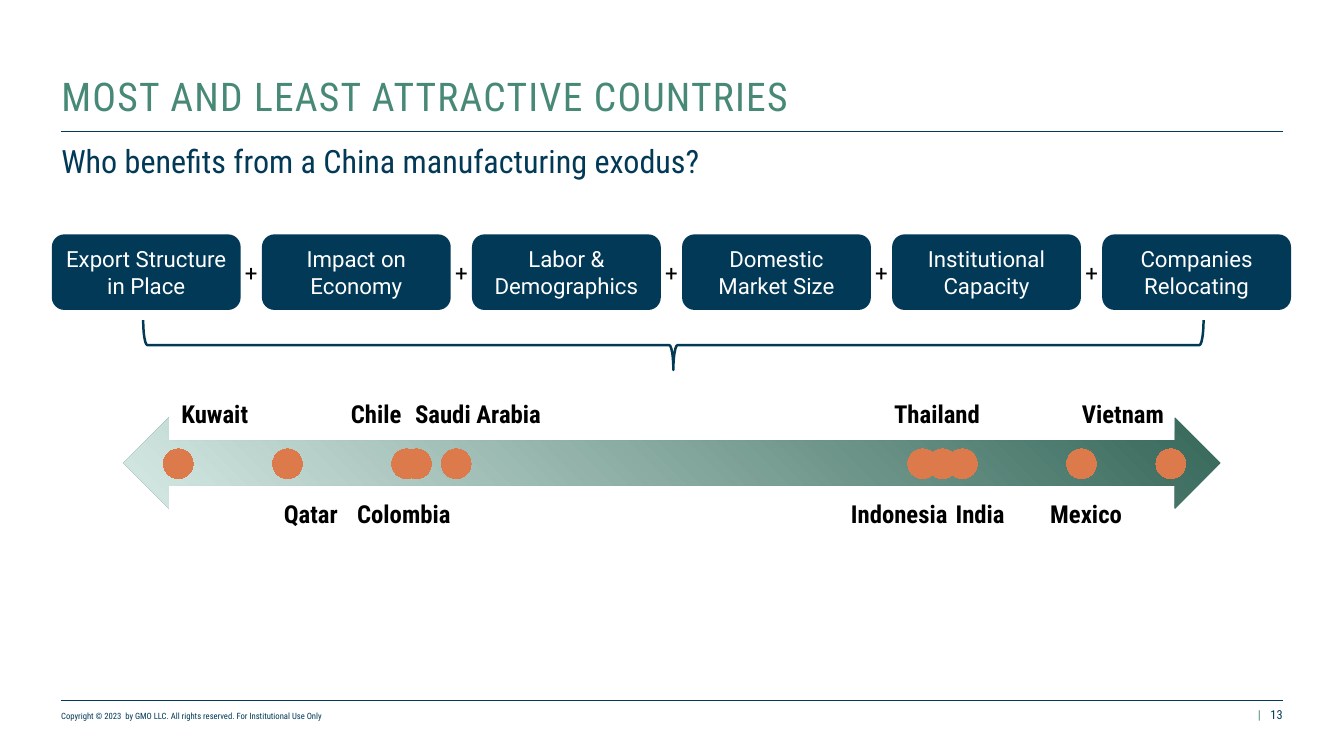
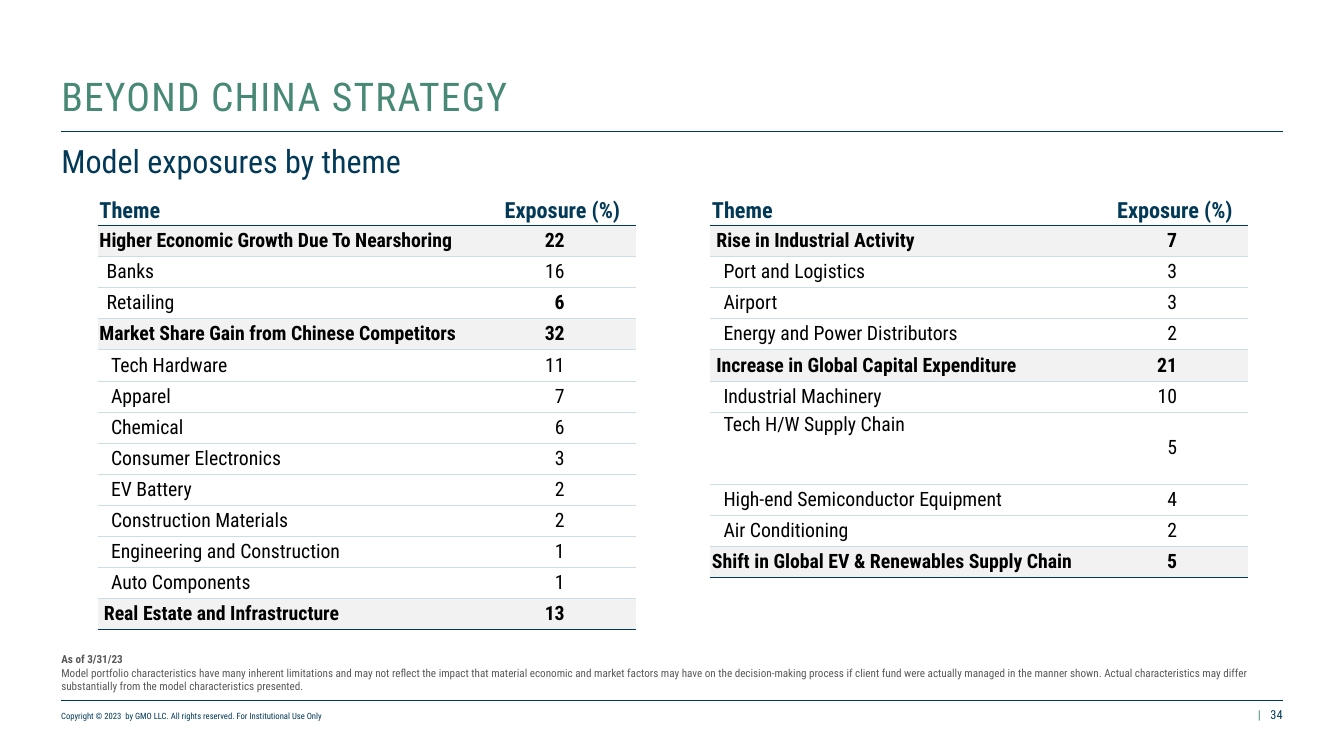
"""Build two slides on the countries and themes that gain from manufacturing leaving China."""
from dataclasses import dataclass

from lxml.etree import SubElement
from pptx import Presentation
from pptx.chart.data import XyChartData
from pptx.dml.color import RGBColor
from pptx.enum.chart import XL_CHART_TYPE as Chart, XL_MARKER_STYLE as Marker
from pptx.enum.shapes import MSO_CONNECTOR as Connector, MSO_SHAPE as Shape
from pptx.enum.text import MSO_ANCHOR as Anchor, PP_ALIGN as Align
from pptx.oxml import parse_xml
from pptx.oxml.ns import nsdecls, qn
from pptx.util import Inches, Pt


@dataclass(frozen=True)
class Theme:
    navy: str = "013957"
    green: str = "478976"
    mint: str = "D7EAE5"
    forest: str = "356759"
    orange: str = "DC7A4B"
    sky: str = "C8DEE8"
    band: str = "F2F2F2"
    grey: str = "595959"
    black: str = "000000"
    white: str = "FFFFFF"
    plain: str = "Roboto"
    narrow: str = "Roboto Condensed"
    title: int = 32
    subtitle: int = 26
    country: int = 20
    heading: int = 18
    row: int = 16
    number: int = 10
    note: int = 9
    legal: int = 7


theme = Theme()
deck = Presentation()
deck.slide_width, deck.slide_height = Inches(15.11), Inches(8.5)


def spot(*shares):
    """Turn percentages of the slide, alternately across and down, into lengths."""
    sides = (deck.slide_width, deck.slide_height)
    return [round(share * sides[place % 2] / 100) for place, share in enumerate(shares)]


def write(frame, text, size, color, font=theme.narrow, bold=False,
          align=Align.LEFT, anchor=None, margin=0):
    """Add one paragraph; an anchor also sets the frame's wrapping and margins."""
    if anchor is not None:
        frame.word_wrap, frame.vertical_anchor = True, anchor
        frame.margin_left = frame.margin_right = margin
        frame.margin_top = frame.margin_bottom = 0
    para = frame.paragraphs[-1]
    if para.runs:
        para = frame.add_paragraph()
    para.alignment = align
    for index, line in enumerate(text.split("\n")):
        if index:
            para.add_line_break()
        span = para.add_run()
        span.text = line
        span.font.size, span.font.name, span.font.bold = Pt(size), font, bold
        span.font.color.rgb = RGBColor.from_string(color)
    return para


MARGIN = 4.56
CONTENT = 100 - 2 * MARGIN
pages = []
for title, subtitle, number in (
    ("MOST AND LEAST ATTRACTIVE COUNTRIES", "Who benefits from a China manufacturing exodus?", "13"),
    ("BEYOND CHINA STRATEGY", "Model exposures by theme", "34"),
):
    page = deck.slides.add_slide(deck.slide_layouts[6])
    pages.append(page)
    for height, weight in ((92.68, 0.5), (17.41, 1)):
        rule = page.shapes.add_connector(
            Connector.STRAIGHT, *spot(MARGIN, height, 100 - MARGIN, height))
        rule.line.color.rgb = RGBColor.from_string(theme.navy)
        rule.line.width = Pt(weight)
        SubElement(rule._element.spPr, qn("a:effectLst"))
    for place, text, size, color, align, anchor in (
        ((MARGIN, 93.6, 47, 1.76),
         "Copyright © 2023  by GMO LLC. All rights reserved. For Institutional Use Only",
         theme.legal, theme.navy, Align.LEFT, Anchor.BOTTOM),
        ((93.35, 93.53, 0.73, 2), "|", theme.number, theme.green, Align.CENTER, Anchor.BOTTOM),
        ((72.93, 93.53, 22.5, 2), number, theme.number, theme.navy, Align.RIGHT, Anchor.BOTTOM),
        ((MARGIN, 18.71, CONTENT, 3.18), subtitle,
         theme.subtitle, theme.navy, Align.LEFT, Anchor.TOP),
    ):
        box = page.shapes.add_textbox(*spot(*place))
        write(box.text_frame, text, size, color, align=align, anchor=anchor)
    box = page.shapes.add_textbox(*spot(MARGIN, 5.88, CONTENT, 10))
    para = write(box.text_frame, title, theme.title, theme.green, anchor=Anchor.BOTTOM)
    para.line_spacing = 0.9
    para.runs[0].font._element.set("spc", "100")

countries, exposures = pages

FACTOR_LEFT, FACTOR_TOP, FACTOR_WIDTH, FACTOR_HEIGHT = 3.86, 31, 14.05, 10
FACTOR_STEP = 15.63
PLUS_WIDTH = 2.32
factors = ("Export Structure in Place", "Impact on Economy", "Labor & Demographics",
           "Domestic\nMarket Size", "Institutional Capacity", "Companies Relocating")
for index, factor in enumerate(factors):
    left = FACTOR_LEFT + index * FACTOR_STEP
    card = countries.shapes.add_shape(
        Shape.ROUNDED_RECTANGLE, *spot(left, FACTOR_TOP, FACTOR_WIDTH, FACTOR_HEIGHT))
    card.shadow.inherit = False
    card.fill.solid()
    card.fill.fore_color.rgb = RGBColor.from_string(theme.navy)
    card.line.fill.background()
    write(card.text_frame, factor, theme.heading, theme.white, theme.plain,
          align=Align.CENTER, anchor=Anchor.MIDDLE, margin=Inches(0.1))
    if index:
        middle = left - (FACTOR_STEP - FACTOR_WIDTH) / 2
        plus = countries.shapes.add_textbox(
            *spot(middle - PLUS_WIDTH / 2, FACTOR_TOP, PLUS_WIDTH, FACTOR_HEIGHT))
        write(plus.text_frame, "+", theme.heading, theme.black, theme.plain,
              align=Align.CENTER, anchor=Anchor.MIDDLE)

brace = countries.shapes.add_shape(Shape.LEFT_BRACE, *spot(48.25, -24.47, 3.71, 140.24))
brace.rotation = 270
brace.shadow.inherit = False
brace.fill.background()
brace.line.color.rgb = RGBColor.from_string(theme.navy)
brace.line.width = Pt(2)

arrow = countries.shapes.add_shape(Shape.LEFT_RIGHT_ARROW, *spot(9.2, 55.24, 81.6, 12))
arrow.shadow.inherit = False
arrow.line.fill.background()
arrow.fill.gradient()
for stop, color in zip(arrow.fill.gradient_stops, (theme.mint, theme.forest)):
    stop.color.rgb = RGBColor.from_string(color)
gradient = arrow._element.spPr.find(qn("a:gradFill"))
gradient.replace(gradient.find(qn("a:lin")), parse_xml(
    f'<a:path {nsdecls("a")} path="circle"><a:fillToRect t="100000" r="100000"/></a:path>'))

most_attractive = (1, 0.91, 0.79, 0.77, 0.75)
least_attractive = (0.28, 0.24, 0.23, 0.11, 0)
UNSCORED = 15
scores = XyChartData()
ranking = scores.add_series("Series 1")
for score in (*most_attractive, *[None] * UNSCORED, *least_attractive):
    ranking.add_data_point(score, None if score is None else 0)
chart = countries.shapes.add_chart(
    Chart.XY_SCATTER, *spot(10.79, 49.76, 77.43, 23.18), scores).chart
chart.has_legend = chart.has_title = False
chart.font.size, chart.font.name = Pt(theme.number), theme.plain
chart.font.color.rgb = RGBColor.from_string(theme.black)
for axis, low, high in ((chart.category_axis, 0, 1), (chart.value_axis, -10, 10)):
    axis.minimum_scale, axis.maximum_scale = low, high
    axis.has_major_gridlines = False
    axis.visible = False
chart.plots[0].vary_by_categories = False
dots = chart.plots[0].series[0]
dots.format.line.fill.background()
dots.marker.style, dots.marker.size = Marker.CIRCLE, 24
dots.marker.format.fill.solid()
dots.marker.format.fill.fore_color.rgb = RGBColor.from_string(theme.orange)
dots.marker.format.line.fill.background()
plot_area = chart._chartSpace.chart.plotArea
unscored = range(len(most_attractive), len(most_attractive) + UNSCORED)
for point in list(plot_area.iter(qn("c:pt"))):
    if int(point.get("idx")) in unscored:
        point.getparent().remove(point)
for layout in plot_area.findall(qn("c:layout")):
    plot_area.remove(layout)
plot_area.insert(0, parse_xml(
    f'<c:layout {nsdecls("c")}><c:manualLayout><c:layoutTarget val="inner"/>'
    '<c:xMode val="edge"/><c:yMode val="edge"/><c:x val="0.032"/><c:y val="0.051"/>'
    '<c:w val="0.954"/><c:h val="0.898"/></c:manualLayout></c:layout>'))

LABEL_WIDTH = 11
for top, names in (
    (52.16, (("Kuwait", 15.98), ("Chile", 27.99), ("Saudi Arabia", 35.57),
             ("Thailand", 69.72), ("Vietnam", 83.55))),
    (65.41, (("Qatar", 23.13), ("Colombia", 30.05), ("Indonesia", 66.91),
             ("India", 72.93), ("Mexico", 80.81))),
):
    for name, middle in names:
        box = countries.shapes.add_textbox(
            *spot(middle - LABEL_WIDTH / 2, top, LABEL_WIDTH, 5.18))
        write(box.text_frame, name, theme.country, theme.black, bold=True,
              align=Align.CENTER, anchor=Anchor.MIDDLE)

FLUSH, NUDGED, INDENTED, DEEP = 0.02, 0.07, 0.1, 0.15
THEME_WIDTH, EXPOSURE_WIDTH = 29.12, 10.92
HEADER_HEIGHT, ROW_HEIGHT, TALL_HEIGHT = 3.88, 4.11, 9.53
TALL_ROW = "Tech H/W Supply Chain"
BOLD_VALUES = {"Retailing"}
nearshoring = (
    ("Higher Economic Growth Due To Nearshoring", 22, FLUSH),
    ("Banks", 16, INDENTED),
    ("Retailing", 6, INDENTED),
    ("Market Share Gain from Chinese Competitors", 32, FLUSH),
    ("Tech Hardware", 11, DEEP),
    ("Apparel", 7, DEEP),
    ("Chemical", 6, DEEP),
    ("Consumer Electronics", 3, DEEP),
    ("EV Battery", 2, DEEP),
    ("Construction Materials", 2, DEEP),
    ("Engineering and Construction", 1, DEEP),
    ("Auto Components", 1, DEEP),
    ("Real Estate and Infrastructure", 13, NUDGED),
)
industry = (
    ("Rise in Industrial Activity", 7, NUDGED),
    ("Port and Logistics", 3, DEEP),
    ("Airport", 3, DEEP),
    ("Energy and Power Distributors", 2, DEEP),
    ("Increase in Global Capital Expenditure", 21, NUDGED),
    ("Industrial Machinery", 10, DEEP),
    (TALL_ROW, 5, DEEP),
    ("High-end Semiconductor Equipment", 4, DEEP),
    ("Air Conditioning", 2, DEEP),
    ("Shift in Global EV & Renewables Supply Chain", 5, FLUSH),
)
for left, rows in ((7.27, nearshoring), (52.84, industry)):
    lines = (("Theme", "Exposure (%)", FLUSH), *rows)
    heights = [HEADER_HEIGHT] + [TALL_HEIGHT if row[0] == TALL_ROW else ROW_HEIGHT for row in rows]
    table = exposures.shapes.add_table(
        len(lines), 2, *spot(left, 25.83, THEME_WIDTH + EXPOSURE_WIDTH, sum(heights))).table
    table.first_row = table.horz_banding = False
    table._tbl.tblPr.find(qn("a:tableStyleId")).text = "{2D5ABB26-0587-4C30-8999-92F81FD0307C}"
    for column, width in zip(table.columns, (THEME_WIDTH, EXPOSURE_WIDTH)):
        column.width = spot(width)[0]
    for index, (name, value, indent) in enumerate(lines):
        table.rows[index].height = spot(0, heights[index])[1]
        header = index == 0
        group = not header and indent in (FLUSH, NUDGED)
        edges = {"a:lnB": header or index == len(rows)}
        if not header:
            edges["a:lnT"] = index == 1
        for place, text in enumerate((name, str(value))):
            cell = table.cell(index, place)
            cell.margin_top = cell.margin_bottom = Inches(FLUSH)
            cell.margin_left = Inches(FLUSH if place else indent)
            cell.margin_right = Inches(0.8 if place and not header else FLUSH)
            cell.vertical_anchor = Anchor.BOTTOM if header else Anchor.MIDDLE
            if text == TALL_ROW:
                cell.vertical_anchor = Anchor.TOP
            for edge in sorted(edges, reverse=True):
                border = SubElement(cell._tc.get_or_add_tcPr(), qn(edge),
                                    w=str(Pt(1 if edges[edge] else 0.5)))
                paint = SubElement(border, qn("a:solidFill"))
                SubElement(paint, qn("a:srgbClr"), val=theme.navy if edges[edge] else theme.sky)
            if group:
                cell.fill.solid()
                cell.fill.fore_color.rgb = RGBColor.from_string(theme.band)
            else:
                cell.fill.background()
            align = (Align.CENTER if header else Align.RIGHT) if place else Align.LEFT
            write(cell.text_frame, text, theme.heading if header else theme.row,
                  theme.navy if header else theme.black, align=align,
                  bold=header or group or (place == 1 and name in BOLD_VALUES))

note = exposures.shapes.add_textbox(*spot(MARGIN, 85.41, CONTENT, 6.24)).text_frame
write(note, "As of 3/31/23", theme.note, theme.grey, bold=True, anchor=Anchor.BOTTOM)
write(note, "Model portfolio characteristics have many inherent limitations and may not reflect "
      "the impact that material economic and market factors may have on the decision-making "
      "process if client fund were actually managed in the manner shown. Actual characteristics "
      "may differ substantially from the model characteristics presented.",
      theme.note, theme.grey)

deck.save("out.pptx")
